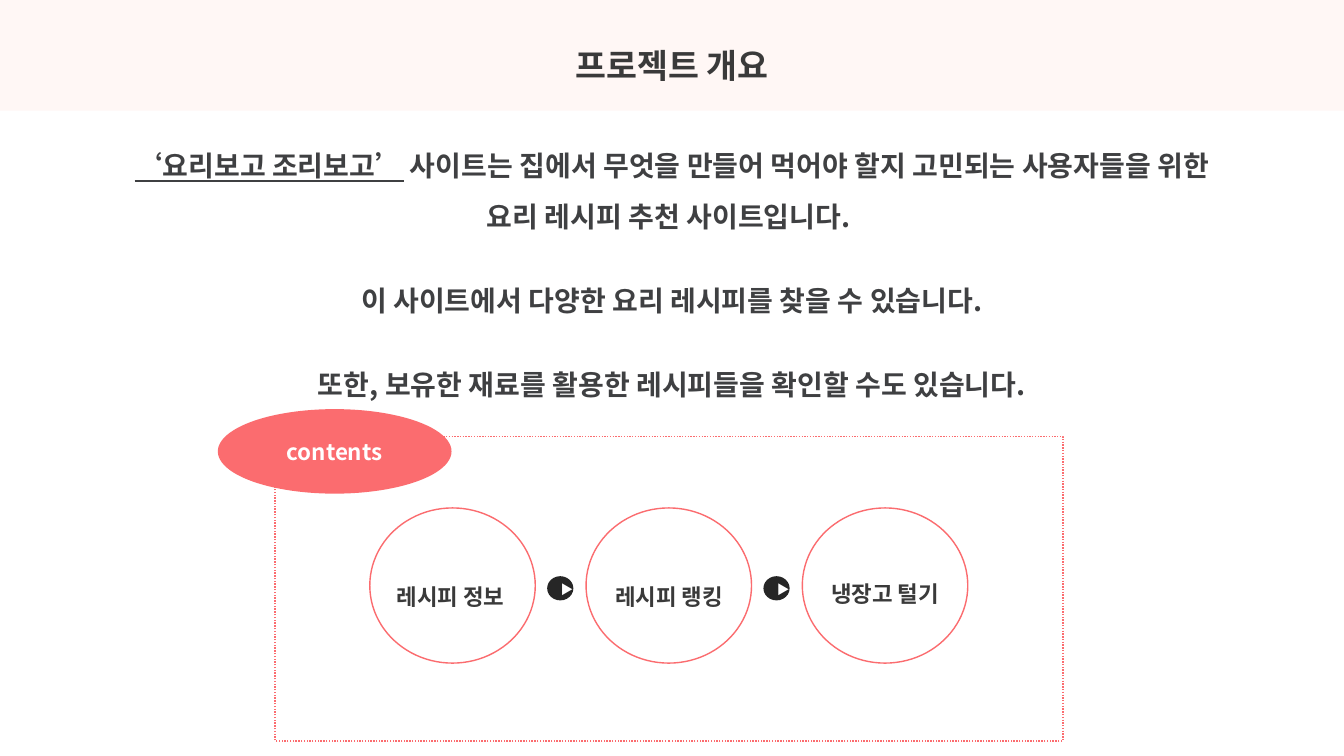
"""Build the project overview slide with its three linked contents."""
from dataclasses import dataclass

from lxml import etree
from pptx import Presentation
from pptx import util as u
from pptx.dml.color import RGBColor
from pptx.enum import dml, shapes, text
from pptx.oxml import ns

FONT = "Noto Sans CJK KR"
CORAL, DARK, BODY, WHITE = "FB6C6F", "3A3A3A", "3F4042", "FFFFFF"
OVAL, RECT = shapes.MSO_SHAPE.OVAL, shapes.MSO_SHAPE.RECTANGLE


@dataclass
class Box:
    """A rectangle in centimetres."""
    left: float
    top: float
    width: float
    height: float

    def lengths(self) -> list:
        """Return the four lengths as Cm."""
        return [u.Cm(v) for v in (self.left, self.top, self.width, self.height)]


@dataclass
class Step:
    """One content circle and the place of its label."""
    label: str
    left: float
    top: float


STEPS = [
    Step("레시피 정보", 9.5, 14.22),
    Step("레시피 랭킹", 15.01, 14.22),
    Step("냉장고 털기", 20.45, 14.15),
]
PITCH = 5.45
INTRO = [
    (1.5, [("‘요리보고 조리보고’", True),
           (" 사이트는 집에서 무엇을 만들어 먹어야 할지 고민되는 사용자들을 위한", False)]),
    (1.5, [("요리 레시피 추천 사이트입니다. ", False)]),
    (2.5, [("이 사이트에서 다양한 요리 레시피를 찾을 수 있습니다.", False)]),
    (2.5, [("또한, 보유한 재료를 활용한 레시피들을 확인할 수도 있습니다.", False)]),
]


def rgb(value: str) -> RGBColor:
    """Turn a hex string into a colour."""
    return RGBColor.from_string(value)


def assign(target, values: dict) -> None:
    """Set each named attribute on the target."""
    for name, value in values.items():
        setattr(target, name, value)


def place(sp, box: Box) -> None:
    """Move and size a shape."""
    assign(sp, dict(zip(("left", "top", "width", "height"), box.lengths())))


def add_run(p, words: str, size: float, color: str, underline: bool = False) -> None:
    """Add a bold run in the slide's font for Latin and Korean."""
    r = p.add_run()
    r.text = words
    assign(r.font, {"name": FONT, "size": u.Pt(size), "bold": True, "underline": underline})
    r.font.color.rgb = rgb(color)
    r.font._element.find(ns.qn("a:latin")).addnext(
        etree.Element(ns.qn("a:ea"), typeface=FONT))


def format_paragraph(p, spacing: float) -> None:
    """Centre a paragraph and set its spacing."""
    assign(p, {"alignment": text.PP_ALIGN.CENTER, "line_spacing": spacing,
               "space_before": u.Pt(0)})


def write(sp, words: str, size: float, color: str, spacing: float = 1.5,
          anchor=text.MSO_ANCHOR.TOP) -> None:
    """Write one centred line in a shape."""
    tf = sp.text_frame
    assign(tf, {"word_wrap": True, "auto_size": text.MSO_AUTO_SIZE.NONE,
                "vertical_anchor": anchor})
    p = tf.paragraphs[0]
    format_paragraph(p, spacing)
    add_run(p, words, size, color)


def add_figure(s, kind, box: Box, fill: str = "", line: str = ""):
    """Add a preset shape with an optional fill and outline."""
    sp = s.shapes.add_shape(kind, *box.lengths())
    sp.shadow.inherit = False
    for part, color in ((sp.fill, fill), (sp.line.fill, line)):
        if color:
            part.solid()
            part.fore_color.rgb = rgb(color)
        else:
            part.background()
    if line:
        sp.line.width = u.Pt(1)
    return sp


def add_label(s, box: Box, words: str, size: float, color: str) -> None:
    """Add a text box with one line."""
    write(s.shapes.add_textbox(*box.lengths()), words, size, color)


def add_title(s) -> None:
    """Fill the title placeholder as a tinted band."""
    sp = s.shapes.title
    place(sp, Box(0, 0, 33.87, 2.79))
    sp.fill.solid()
    sp.fill.fore_color.rgb = rgb("FFF7F5")
    write(sp, "프로젝트 개요", 24, DARK, anchor=text.MSO_ANCHOR.MIDDLE)


def add_intro(s) -> None:
    """Fill the body placeholder with the introduction."""
    sp = s.placeholders[1]
    place(sp, Box(0.69, 3.2, 32.49, 6.71))
    tf = sp.text_frame
    assign(tf, {"word_wrap": True, "auto_size": text.MSO_AUTO_SIZE.NONE})
    for i, (spacing, runs) in enumerate(INTRO):
        p = tf.add_paragraph() if i else tf.paragraphs[0]
        format_paragraph(p, spacing)
        pPr = p._p.get_or_add_pPr()
        pPr.set("marL", "0")
        pPr.set("indent", "0")
        etree.SubElement(pPr, ns.qn("a:buNone"))
        for words, underline in runs:
            add_run(p, words, 20, BODY, underline)


def add_contents(s) -> None:
    """Draw the dotted frame, the content circles, the arrows and the badge."""
    frame = add_figure(s, RECT, Box(6.93, 11, 19.86, 7.67), WHITE, CORAL)
    frame.line.dash_style = dml.MSO_LINE.ROUND_DOT
    for i, step in enumerate(STEPS):
        add_figure(s, OVAL, Box(9.32 + i * PITCH, 12.8, 4.17, 3.91), line=CORAL)
        add_label(s, Box(step.left, step.top, 3.71, 1.19), step.label, 16, DARK)
    for i in range(len(STEPS) - 1):
        add_figure(s, OVAL, Box(13.79 + i * PITCH, 14.52, 0.66, 0.61), "262626")
        add_label(s, Box(13.88 + i * PITCH, 14.34, 0.51, 0.79), "▶", 9, WHITE)
    badge = add_figure(s, OVAL, Box(5.49, 10.31, 5.89, 2.13), CORAL)
    write(badge, "contents", 16, WHITE, 1.0, text.MSO_ANCHOR.MIDDLE)


def main() -> None:
    """Build and save the slide."""
    prs = Presentation()
    assign(prs, {"slide_width": u.Cm(33.87), "slide_height": u.Cm(19.05)})
    s = prs.slides.add_slide(prs.slide_layouts[1])
    add_title(s)
    add_intro(s)
    add_contents(s)
    prs.save("out.pptx")


if __name__ == "__main__":
    main()
